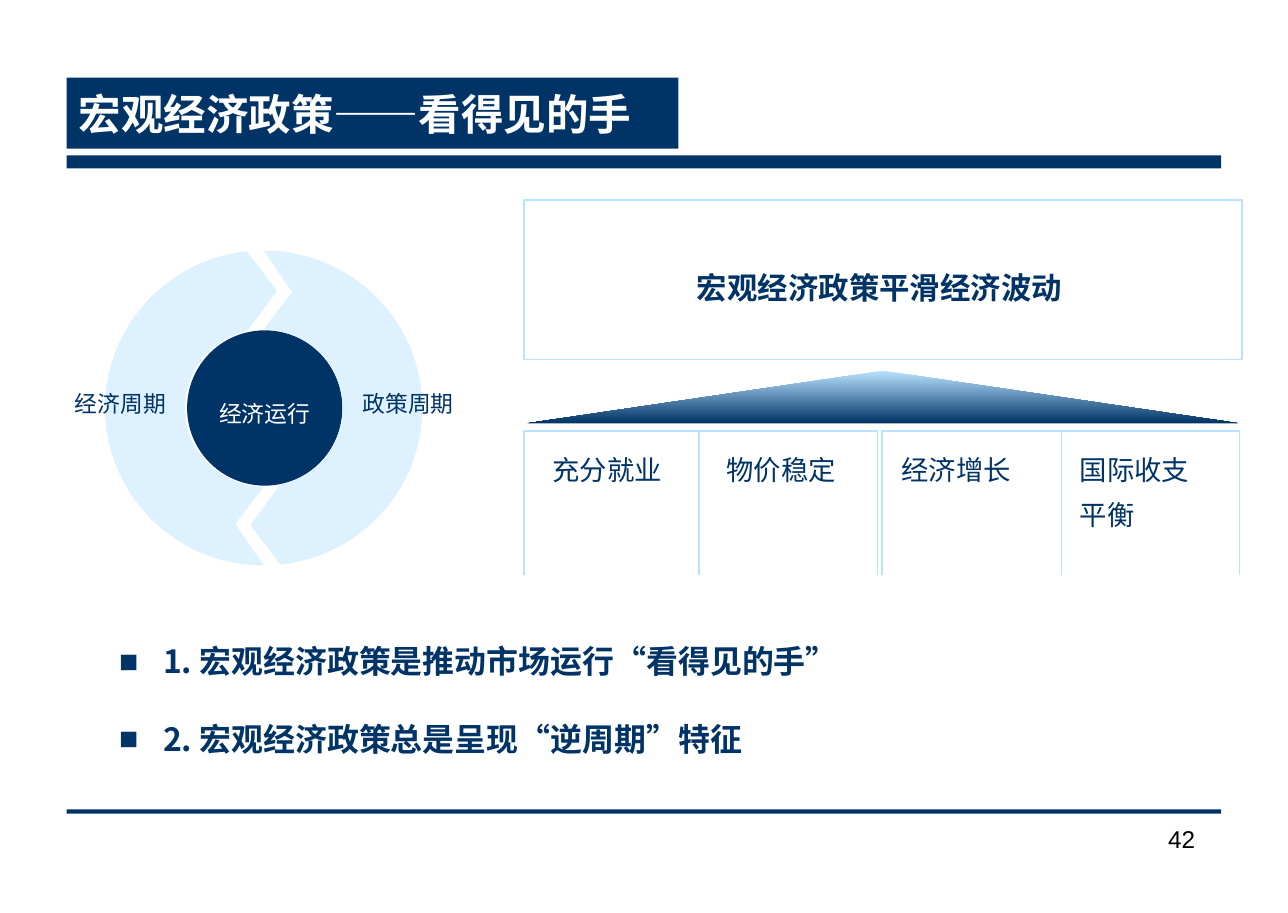
from math import cos, radians, sin

from lxml.etree import SubElement
from pptx import Presentation
from pptx.dml.color import RGBColor
from pptx.enum.shapes import MSO_SHAPE as Preset
from pptx.enum.text import MSO_ANCHOR as Anchor, PP_ALIGN as Align
from pptx.oxml.ns import qn
from pptx.util import Inches, Pt

THEME = {
    "navy": RGBColor(0x00, 0x33, 0x66),
    "sky": RGBColor(0xB9, 0xE3, 0xFF),
    "pale": RGBColor(0xDD, 0xF1, 0xFF),
    "white": RGBColor(0xFF, 0xFF, 0xFF),
    "black": RGBColor(0x00, 0x00, 0x00),
    "latin": "Arial",
    "chinese": "Noto Sans CJK SC",
    "title": Pt(28),
    "point": Pt(21),
    "banner": Pt(20),
    "goal": Pt(18),
    "number": Pt(16),
    "cycle": Pt(15),
}


def paint(shape, fill, line=None):
    shape.shadow.inherit = False
    shape.fill.solid()
    shape.fill.fore_color.rgb = THEME[fill]
    if line:
        shape.line.color.rgb = THEME[line]
        shape.line.width = Pt(1)
    else:
        shape.line.fill.background()
    return shape


def write(shape, lines, size, color="navy", bold=False, face="chinese", inset=(0.1, 0.05),
          anchor=Anchor.TOP, align=Align.LEFT, spacing=1.4, wrap=True, bullet=None):
    frame = shape.text_frame
    across, down = map(Inches, inset)
    frame_format = {"word_wrap": wrap, "vertical_anchor": anchor,
                    "margin_left": across, "margin_right": across,
                    "margin_top": down, "margin_bottom": down}
    for name, value in frame_format.items():
        setattr(frame, name, value)
    for index, line in enumerate(lines):
        paragraph = frame.add_paragraph() if index else frame.paragraphs[0]
        paragraph.alignment = align
        paragraph.line_spacing = spacing
        if bullet:
            if index:
                paragraph.space_before = THEME[size]
            properties = paragraph._p.get_or_add_pPr()
            properties.set("marL", str(Inches(0.49)))
            properties.set("indent", str(Inches(-0.4)))
            SubElement(properties, qn("a:buFont"), typeface=THEME["latin"])
            SubElement(properties, qn("a:buChar"), char=bullet)
        run = paragraph.add_run()
        run.text = line
        font_format = {"size": THEME[size], "bold": bold, "name": THEME[face]}
        for name, value in font_format.items():
            setattr(run.font, name, value)
        run.font.color.rgb = THEME[color]
        if face == "chinese":
            SubElement(run._r.get_or_add_rPr(), qn("a:ea"), typeface=THEME[face])


presentation = Presentation()
presentation.slide_width = Pt(847.5)
presentation.slide_height = Pt(601)
slide = presentation.slides.add_slide(presentation.slide_layouts[6])
shapes = slide.shapes

for top, height in ((1.42, 0.12), (7.4, 0.04)):
    paint(shapes.add_shape(Preset.RECTANGLE, Inches(0.61), Inches(top),
                           Inches(10.55), Inches(height)), "navy")

title = paint(shapes.add_shape(Preset.RECTANGLE, Inches(0.61), Inches(0.71),
                               Inches(5.59), Inches(0.65)), "navy")
write(title, ["宏观经济政策——看得见的手"], "title", "white", True, "latin",
      (0.11, 0.06), Anchor.MIDDLE, spacing=1.0)

page_number = shapes.add_textbox(Inches(10.14), Inches(7.48), Inches(0.89), Inches(0.58))
write(page_number, ["42"], "number", "black", face="latin", inset=(0.11, 0.06),
      align=Align.RIGHT, spacing=1.0)

builder = shapes.build_freeform(Inches(4.82), Inches(3.87), 1.0)
builder.add_line_segments([(Inches(8.07), Inches(3.39)), (Inches(11.32), Inches(3.87))])
roof = paint(builder.convert_to_shape(), "navy")
roof.fill.gradient()
roof.fill.gradient_angle = 270
for stop, color, position in zip(roof.fill.gradient_stops, ("sky", "navy"), (0, 1)):
    stop.color.rgb = THEME[color]
    stop.position = position

banner = paint(shapes.add_shape(Preset.RECTANGLE, Inches(4.79), Inches(1.83),
                                Inches(6.56), Inches(1.46)), "white", "sky")
write(banner, ["宏观经济政策平滑经济波动 "], "banner", bold=True, anchor=Anchor.MIDDLE,
      align=Align.CENTER, wrap=False)

for left, right in ((4.79, 7.23), (6.39, 8.02), (8.06, 10.49), (9.7, 11.33)):
    builder = shapes.build_freeform(Inches(left), Inches(5.26), 1.0)
    corners = ((left, 3.94), (right, 3.94), (right, 5.26))
    builder.add_line_segments([(Inches(x), Inches(y)) for x, y in corners], close=False)
    paint(builder.convert_to_shape(), "white", "sky")

for left, goal in ((4.95, "充分就业"), (6.54, "物价稳定"), (8.14, "经济增长"), (9.77, "国际收支平衡")):
    label = shapes.add_textbox(Inches(left), Inches(3.97), Inches(1.27), Inches(0.94))
    write(label, [goal], "goal")

hub = paint(shapes.add_shape(Preset.OVAL, Inches(1.71), Inches(3.02),
                             Inches(1.42), Inches(1.42)), "navy")
write(hub, ["经济运行"], "cycle", "white", anchor=Anchor.MIDDLE, align=Align.CENTER, wrap=False)

center_x, center_y = 2.41, 3.73
outer_arc = [(1.45 * sin(radians(a)), -1.44 * cos(radians(a))) for a in range(0, 175, 3)]
inner_arc = [(0.72 * sin(radians(a)), -0.72 * cos(radians(a))) for a in range(168, -1, -3)]
half_ring = outer_arc + [(-0.12, 1.07)] + inner_arc + [(0.26, -1.06)]
for side in (1, -1):
    outline = [(Inches(center_x + side * x), Inches(center_y + side * y)) for x, y in half_ring]
    builder = shapes.build_freeform(*outline[0], 1.0)
    builder.add_line_segments(outline[1:])
    paint(builder.convert_to_shape(), "pale")

for left, cycle in ((0.57, "经济周期"), (3.2, "政策周期")):
    label = shapes.add_textbox(Inches(left), Inches(3.34), Inches(1.06), Inches(0.6))
    write(label, [cycle], "cycle", anchor=Anchor.MIDDLE, align=Align.CENTER, wrap=False)

points = shapes.add_textbox(Inches(0.89), Inches(5.74), Inches(9.84), Inches(1.25))
write(points, ["1. 宏观经济政策是推动市场运行“看得见的手”", "2. 宏观经济政策总是呈现“逆周期”特征"],
      "point", bold=True, inset=(0.11, 0.06), spacing=1.2, bullet="■")

presentation.save("out.pptx")
